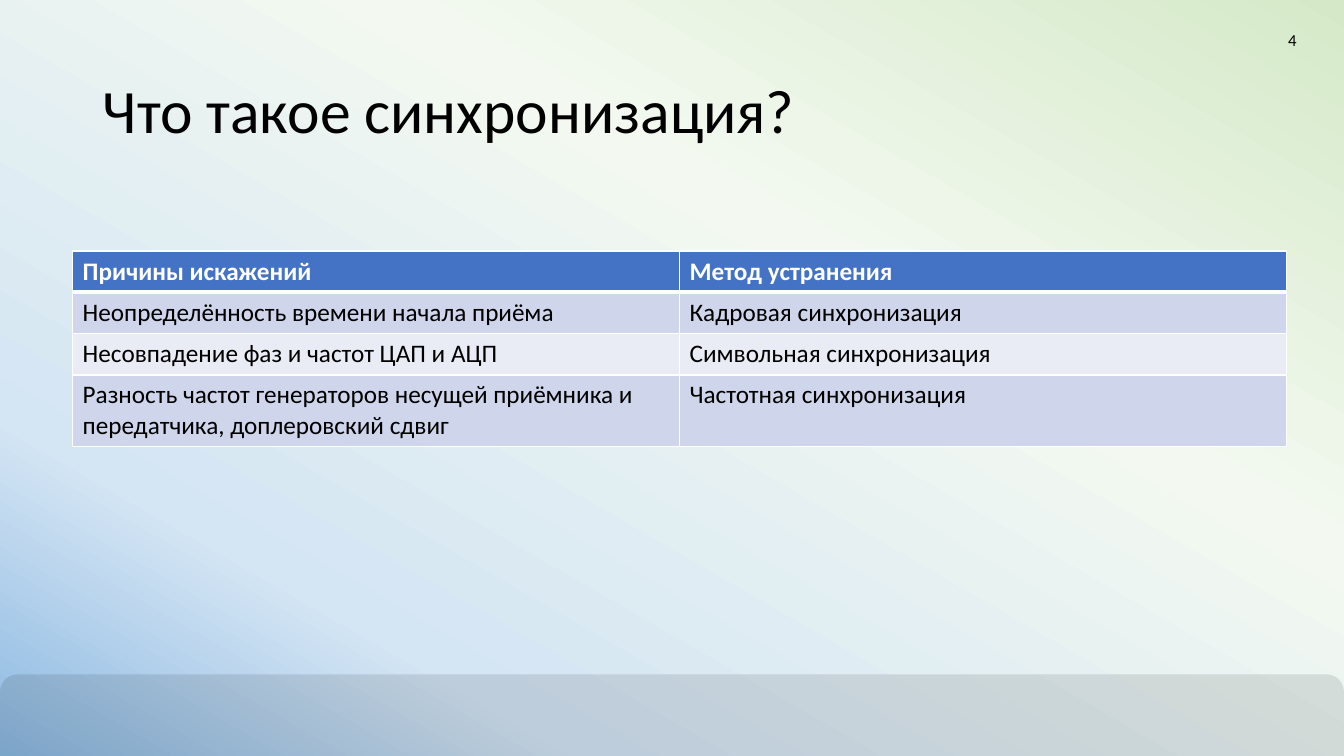
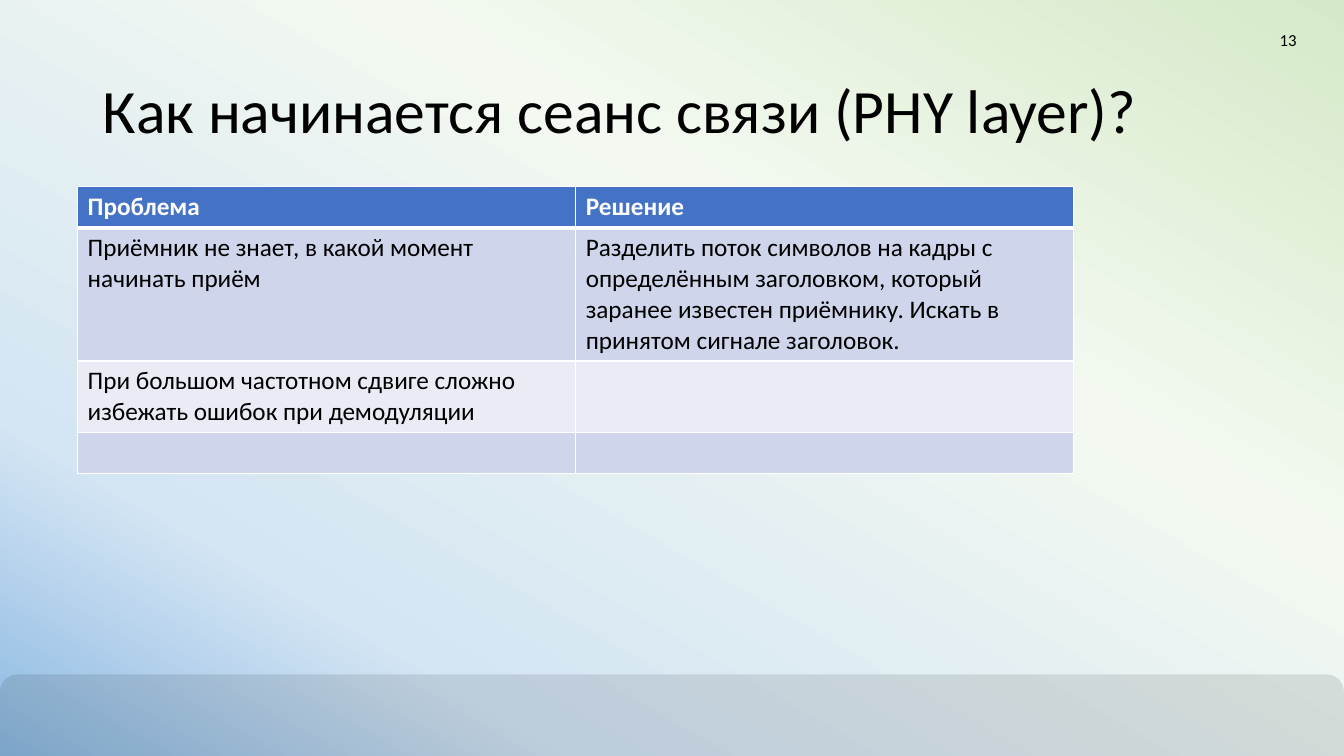
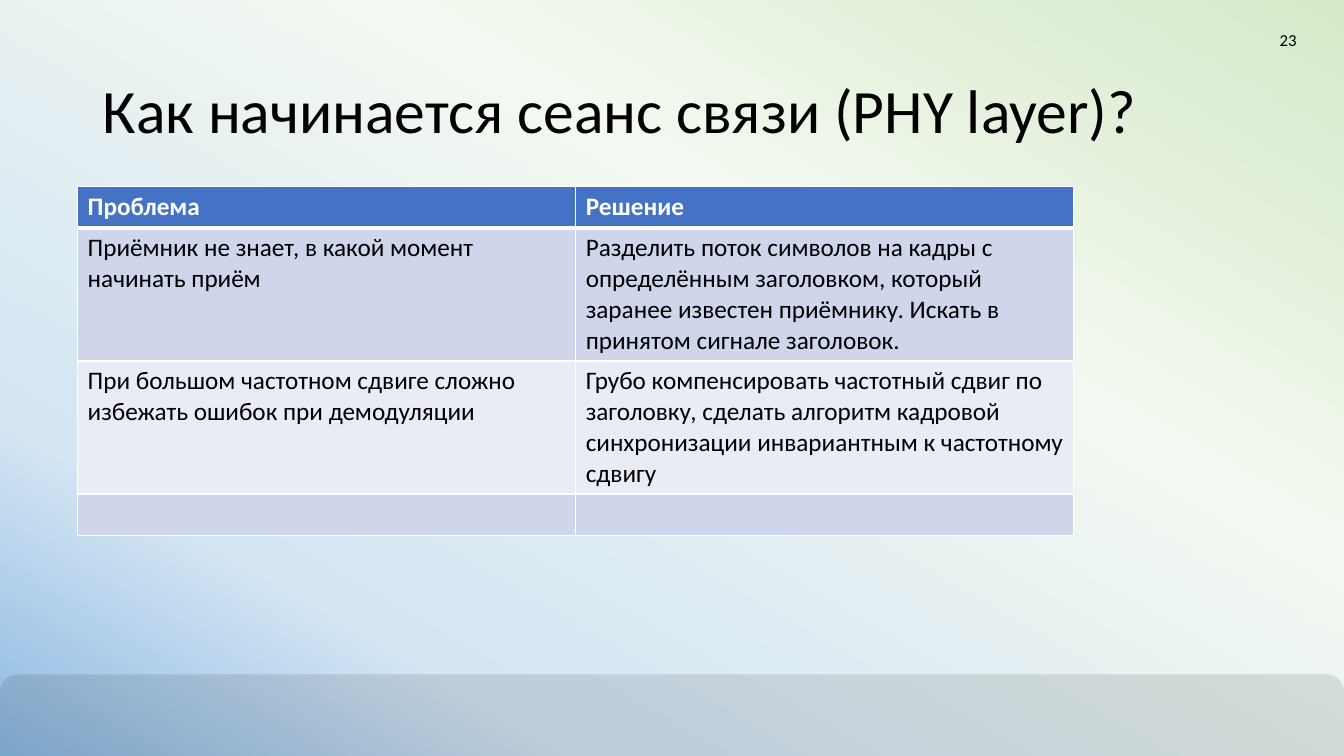
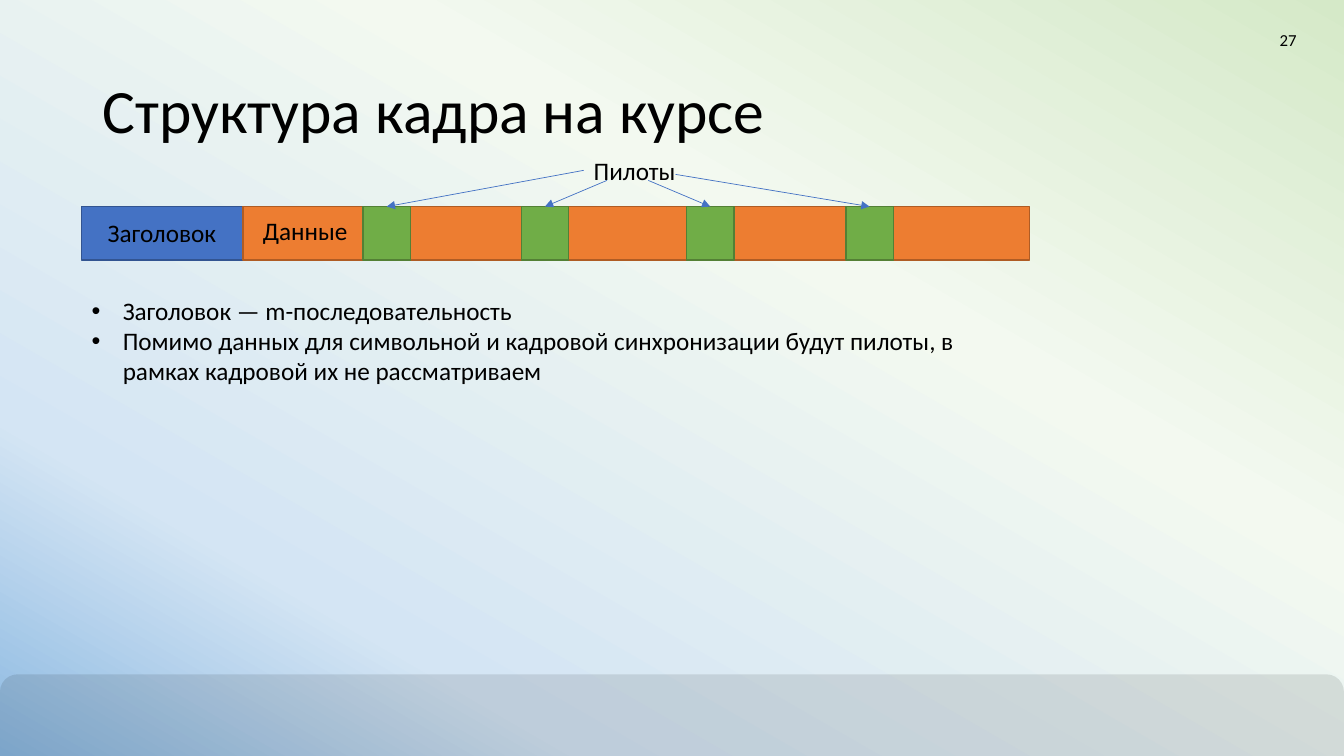
from lxml import etree
from pptx import Presentation
from pptx import util as u
from pptx.dml import color as dml
from pptx.enum import shapes, text
from pptx.oxml import ns

COLOURS = {
    "black": "000000", "white": "FFFFFF",
    "blue": "4472C4", "blue edge": "325491",
    "orange": "ED7D31", "orange edge": "AF5C24",
    "green": "70AD47", "green edge": "538035",
    "odd row": "CFD5EA", "even row": "E9EBF5",
}
BACKDROP = [(0, "D5E9C8", 100), (36, "F3F9F0", 15), (78, "D4E5F4", 100), (100, "8BB8E1", 100)]
FONT = "Calibri"


def rgb(name):
    """Return the named colour."""
    return dml.RGBColor.from_string(COLOURS[name])


def add_xml(parent, tag, **attributes):
    """Append a drawing element with attributes to its parent."""
    values = {key: str(value) for key, value in attributes.items()}
    return etree.SubElement(parent, ns.qn(tag), values)


def write(frame, words, size=18, colour="black", bold=False, align="LEFT", spacing=None, bullet=None):
    """Fill a text frame with one formatted paragraph per line of text."""
    for index, line in enumerate(words.split("\n")):
        para = frame.add_paragraph() if index else frame.paragraphs[0]
        para.alignment = getattr(text.PP_ALIGN, align)
        if spacing:
            para.line_spacing = spacing
        if bullet:
            properties = para._p.get_or_add_pPr()
            indent = u.Inches(0.31)
            properties.set("marL", str(indent))
            properties.set("indent", str(-indent))
            add_xml(properties, "a:buFont", typeface="Arial")
            add_xml(properties, "a:buChar", char=bullet)
        span = para.add_run()
        span.text = line
        span.font.name = FONT
        span.font.size = u.Pt(size)
        span.font.bold = bold
        span.font.color.rgb = rgb(colour)


class Lecture:
    """Holds the shared style and the page being built."""

    def __init__(self):
        """Start a wide deck with the shared gradient background."""
        self.deck = Presentation()
        self.deck.slide_width = u.Inches(13.33)
        self.deck.slide_height = u.Inches(7.5)
        self.page = None
        master = self.deck.slide_master
        fill = master.background.fill
        fill.gradient()
        fill.gradient_angle = 240
        stops = master.element.xpath(".//p:bg//a:gsLst")[0]
        for stop in list(stops):
            stops.remove(stop)
        for position, value, opacity in BACKDROP:
            stop = add_xml(stops, "a:gs", pos=position * 1000)
            tint = add_xml(stop, "a:srgbClr", val=value)
            if opacity < 100:
                add_xml(tint, "a:alpha", val=opacity * 1000)

    def new_page(self, title, number):
        """Add a page with its band, title and number."""
        self.page = self.deck.slides.add_slide(self.deck.slide_layouts.get_by_name("Title Only"))
        band = self.block(0, 6.69, 13.33, 1.04, "black", kind="ROUNDED_RECTANGLE")
        band.adjustments[0] = 0.167
        add_xml(band.element.xpath("./p:spPr/a:solidFill/a:srgbClr")[0], "a:alpha", val=10000)
        heading = self.page.shapes.title
        heading.left, heading.top = u.Inches(0.92), u.Inches(0.4)
        heading.width, heading.height = u.Inches(11.5), u.Inches(1.45)
        frame = heading.text_frame
        frame.word_wrap = True
        frame.auto_size = text.MSO_AUTO_SIZE.NONE
        frame.vertical_anchor = text.MSO_ANCHOR.MIDDLE
        write(frame, title, size=44, spacing=0.9)
        corner = self.label(9.96, 0.2, 3, 0.4, str(number), size=12, align="RIGHT")
        corner.text_frame.auto_size = text.MSO_AUTO_SIZE.NONE
        corner.text_frame.vertical_anchor = text.MSO_ANCHOR.MIDDLE

    def block(self, left, top, width, height, colour, edge=None, kind="RECTANGLE"):
        """Add a filled shape with an optional outline."""
        box = self.page.shapes.add_shape(
            getattr(shapes.MSO_SHAPE, kind),
            u.Inches(left), u.Inches(top), u.Inches(width), u.Inches(height))
        box.shadow.inherit = False
        box.fill.solid()
        box.fill.fore_color.rgb = rgb(colour)
        if edge:
            box.line.color.rgb = rgb(edge)
            box.line.width = u.Pt(1)
        else:
            box.line.fill.background()
        return box

    def label(self, left, top, width, height, words, **style):
        """Add a wrapping text box."""
        box = self.page.shapes.add_textbox(
            u.Inches(left), u.Inches(top), u.Inches(width), u.Inches(height))
        box.text_frame.word_wrap = True
        box.text_frame.auto_size = text.MSO_AUTO_SIZE.SHAPE_TO_FIT_TEXT
        write(box.text_frame, words, **style)
        return box

    def arrow(self, start, target, source=None):
        """Draw a thin arrow to the top of a target shape."""
        left, top = u.Inches(start[0]), u.Inches(start[1])
        line = self.page.shapes.add_connector(
            shapes.MSO_CONNECTOR.STRAIGHT, left, top, left, top)
        if source:
            line.begin_connect(source, 1)
        line.end_connect(target, 0)
        line.line.color.rgb = rgb("blue")
        line.line.width = u.Pt(0.5)
        add_xml(line.line._get_or_add_ln(), "a:tailEnd", type="triangle")
        add_xml(line.element.spPr, "a:effectLst")

    def table(self, left, top, width, rows):
        """Add a table with a header row, striped body and white rules."""
        height = 0.41
        grid = self.page.shapes.add_table(
            len(rows), len(rows[0]), u.Inches(left), u.Inches(top),
            u.Inches(width), u.Inches(height * len(rows))).table
        for index, row in enumerate(rows):
            header = index == 0
            fill = "blue" if header else "odd row" if index % 2 else "even row"
            grid.rows[index].height = u.Inches(height)
            for column, words in enumerate(row):
                cell = grid.cell(index, column)
                self.rule(cell, top=3 if index == 1 else 1, bottom=3 if header else 1)
                cell.fill.solid()
                cell.fill.fore_color.rgb = rgb(fill)
                if words:
                    write(cell.text_frame, words, bold=header, colour="white" if header else "black")

    def rule(self, cell, top, bottom):
        """Give a cell white borders."""
        properties = cell._tc.get_or_add_tcPr()
        for side, width in (("L", 1), ("R", 1), ("T", top), ("B", bottom)):
            border = add_xml(properties, f"a:ln{side}", w=u.Pt(width))
            add_xml(add_xml(border, "a:solidFill"), "a:srgbClr", val=COLOURS["white"])


def main():
    """Build the four pages."""
    lecture = Lecture()

    lecture.new_page("Что такое синхронизация?", 4)
    lecture.table(0.72, 2.49, 12.04, [
        ("Причины искажений", "Метод устранения"),
        ("Неопределённость времени начала приёма", "Кадровая синхронизация"),
        ("Несовпадение фаз и частот ЦАП и АЦП", "Символьная синхронизация"),
        ("Разность частот генераторов несущей приёмника и передатчика, доплеровский сдвиг",
         "Частотная синхронизация"),
    ])

    remedy = ("Грубо компенсировать частотный сдвиг по заголовку, сделать алгоритм кадровой "
              "синхронизации инвариантным к частотному сдвигу")
    for number, answer in ((13, ""), (23, remedy)):
        lecture.new_page("Как начинается сеанс связи (PHY layer)?", number)
        lecture.table(0.77, 1.85, 9.88, [
            ("Проблема", "Решение"),
            ("Приёмник не знает, в какой момент начинать приём",
             "Разделить поток символов на кадры с определённым заголовком, который заранее "
             "известен приёмнику. Искать в принятом сигнале заголовок."),
            ("При большом частотном сдвиге сложно избежать ошибок при демодуляции", answer),
            ("", ""),
        ])

    lecture.new_page("Структура кадра на курсе", 27)
    frame_top, frame_height = 2.05, 0.53
    lecture.block(0.81, frame_top, 1.61, frame_height, "blue", "blue edge")
    lecture.block(2.41, frame_top, 7.8, frame_height, "orange", "orange edge")
    lecture.label(0.97, 2.11, 1.3, 0.4, "Заголовок")
    lecture.label(2.51, 2.09, 1.3, 0.4, "Данные")
    lecture.label(0.81, 2.88, 8.77, 1.01,
                  "Заголовок — m-последовательность\n"
                  "Помимо данных для символьной и кадровой синхронизации будут пилоты, "
                  "в рамках кадровой их не рассматриваем", bullet="•")
    pilots = [lecture.block(left, frame_top, 0.47, frame_height, "green", "green edge")
              for left in (3.6, 5.17, 6.81, 8.39)]
    caption = lecture.label(5.79, 1.49, 1.02, 0.4, "Пилоты")
    lecture.arrow((5.79, 1.69), pilots[0], source=caption)
    for start, pilot in zip(((6.02, 1.79), (6.43, 1.79), (6.7, 1.73)), pilots[1:]):
        lecture.arrow(start, pilot)

    lecture.deck.save("out.pptx")


if __name__ == "__main__":
    main()
